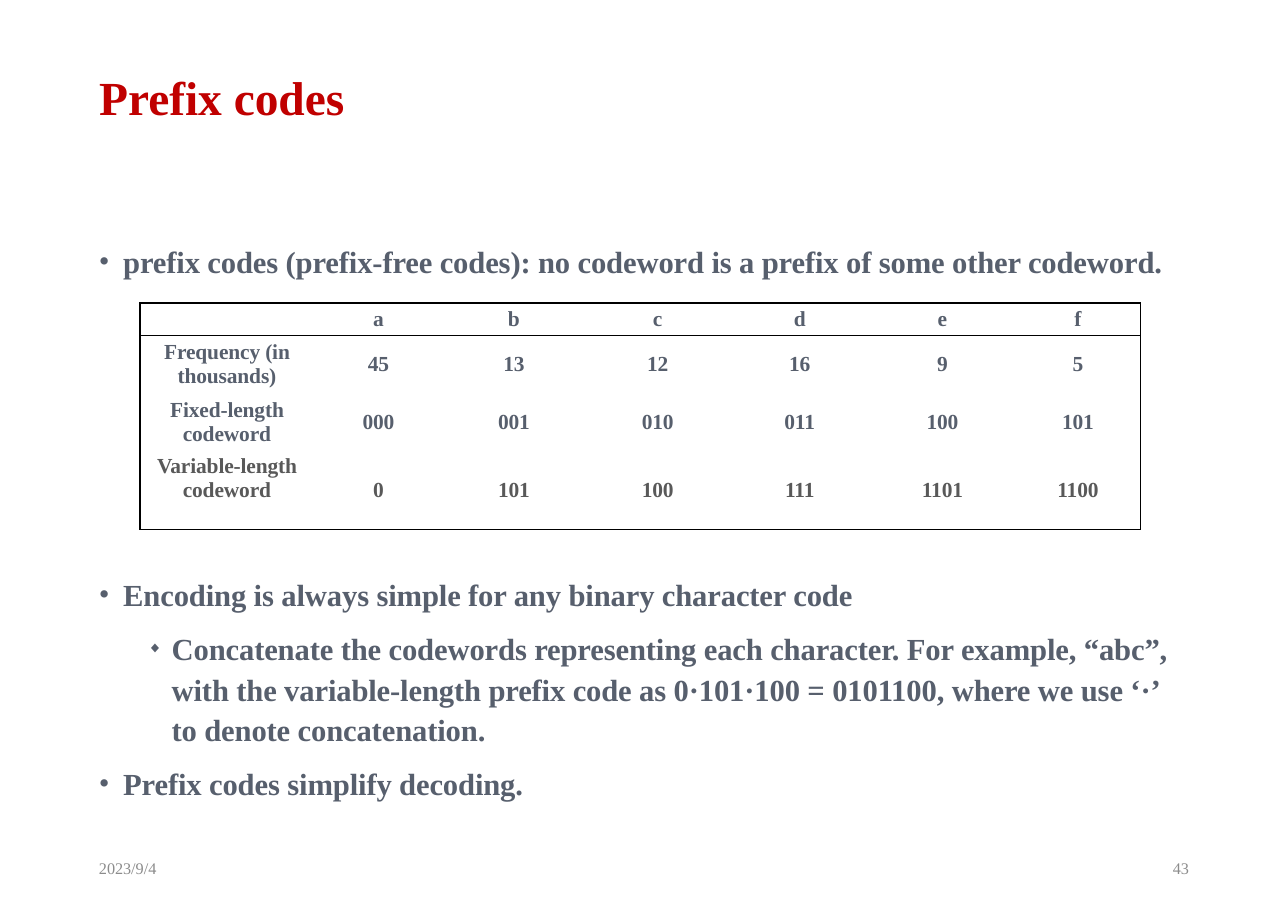
from lxml.etree import SubElement
from pptx import Presentation
from pptx.dml.color import RGBColor
from pptx.enum.text import MSO_ANCHOR, PP_ALIGN
from pptx.oxml.ns import qn
from pptx.util import Inches, Pt

FONT = "Times New Roman"
RED = RGBColor(0xC0, 0x00, 0x00)
SLATE = RGBColor(0x57, 0x5F, 0x6D)
DARK = RGBColor(0x59, 0x59, 0x59)
GRAY = RGBColor(0x8C, 0x8C, 0x8C)

LEFT = 0.8
COLS = [1.58, 1.17, 1.29, 1.32, 1.26, 1.33, 1.13]
ROWS = [0.28, 0.5, 0.5, 0.71]
CODES = [
    ["", "a", "b", "c", "d", "e", "f"],
    ["Frequency (in thousands)", "45", "13", "12", "16", "9", "5"],
    ["Fixed-length codeword", "000", "001", "010", "011", "100", "101"],
    ["Variable-length codeword", "0", "101", "100", "111", "1101", "1100"],
]
INTRO = [
    ("•", "prefix codes (prefix-free codes): no codeword is a prefix of "
          "some other codeword."),
]
POINTS = [
    ("•", "Encoding is always simple for any binary character code"),
    ("◆", "Concatenate the codewords representing each character. "
          "For example, “abc”, with the variable-length prefix code as "
          "0·101·100 = 0101100, where we use ‘·’ to denote concatenation."),
    ("•", "Prefix codes simplify decoding."),
]


def write(par, text, size=20, color=SLATE, bold=True, align=PP_ALIGN.LEFT,
          line=1.0, before=0, track=0):
    par.alignment = align
    par.line_spacing = line
    par.space_before = Pt(before)
    if not text:
        SubElement(par._p, qn("a:endParaRPr"), sz=str(size * 100))
        return
    run = par.add_run()
    run.text = text
    font = run.font
    font.name, font.size, font.bold = FONT, Pt(size), bold
    font.color.rgb = color
    if track:
        run._r.get_or_add_rPr().set("spc", str(round(track * 100)))


def add_box(slide, left, top, width, height, anchor=MSO_ANCHOR.TOP):
    box = slide.shapes.add_textbox(Inches(left), Inches(top),
                                   Inches(width), Inches(height))
    frame = box.text_frame
    frame.word_wrap = True
    frame.vertical_anchor = anchor
    return frame


def add_mark(par, mark):
    """Give the paragraph a bullet; the diamond is small and on level two."""
    sub = mark == "◆"
    props = par._p.get_or_add_pPr()
    props.set("marL", str(Inches(0.66 if sub else 0.22)))
    props.set("indent", str(Inches(-0.22)))
    if sub:
        par.level = 1
        SubElement(props, qn("a:buSzPct"), val="50000")
    SubElement(props, qn("a:buFont"), typeface=FONT)
    SubElement(props, qn("a:buChar"), char=mark)


def add_list(slide, top, height, items):
    frame = add_box(slide, LEFT, top, 9.96, height)
    for i, (mark, text) in enumerate(items):
        par = frame.add_paragraph() if i else frame.paragraphs[0]
        add_mark(par, mark)
        write(par, text, line=1.1, before=8.8 if i else 0, track=-0.1)


def set_edges(cell, black):
    """Draw the sides named in black and clear the others."""
    props = cell._tc.get_or_add_tcPr()
    for side in "LRTB":
        edge = SubElement(props, qn(f"a:ln{side}"), w=str(Pt(1)))
        if side in black:
            fill = SubElement(edge, qn("a:solidFill"))
            SubElement(fill, qn("a:srgbClr"), val="000000")
        else:
            SubElement(edge, qn("a:noFill"))


def add_codes(slide):
    last, end = len(ROWS) - 1, len(COLS) - 1
    frame = slide.shapes.add_table(
        len(ROWS), len(COLS), Inches(1.27), Inches(2.75),
        Inches(sum(COLS)), Inches(sum(ROWS)))
    table = frame.table
    table.first_row = table.horz_banding = False
    for col, width in zip(table.columns, COLS):
        col.width = Inches(width)
    for r, texts in enumerate(CODES):
        table.rows[r].height = Inches(ROWS[r])
        for c, text in enumerate(texts):
            cell = table.cell(r, c)
            cell.margin_left = cell.margin_right = Inches(0.07)
            cell.margin_top = cell.margin_bottom = Inches(0.03)
            high = r == last and c == 0
            cell.vertical_anchor = MSO_ANCHOR.TOP if high else MSO_ANCHOR.MIDDLE
            set_edges(cell, ("L" if c == 0 else "") + ("R" if c == end else "")
                      + ("T" if r < 2 else "") + ("B" if r in (0, last) else ""))
            cell.fill.background()
            write(cell.text_frame.paragraphs[0], text, size=14,
                  color=DARK if r == last else SLATE,
                  align=PP_ALIGN.CENTER, track=-0.1)


def add_title(slide, text):
    title = slide.shapes.title
    title.left, title.top = Inches(LEFT), Inches(0.26)
    title.width, title.height = Inches(10.02), Inches(1.3)
    title.text_frame.vertical_anchor = MSO_ANCHOR.MIDDLE
    write(title.text_frame.paragraphs[0], text, size=31, color=RED, line=0.9)


def add_foot(slide, left, text, align):
    frame = add_box(slide, left, 7.66, 2.63, 0.44, MSO_ANCHOR.MIDDLE)
    write(frame.paragraphs[0], text, size=10.6, color=GRAY, bold=False,
          align=align)


def main():
    deck = Presentation()
    deck.slide_width, deck.slide_height = Inches(11.69), Inches(8.27)
    slide = deck.slides.add_slide(deck.slide_layouts[5])
    add_title(slide, "Prefix codes")
    add_list(slide, 2.12, 0.5, INTRO)
    add_codes(slide)
    add_list(slide, 5.15, 2.2, POINTS)
    add_foot(slide, LEFT, "2023/9/4", PP_ALIGN.LEFT)
    add_foot(slide, 8.26, "43", PP_ALIGN.RIGHT)
    deck.save("out.pptx")


if __name__ == "__main__":
    main()
